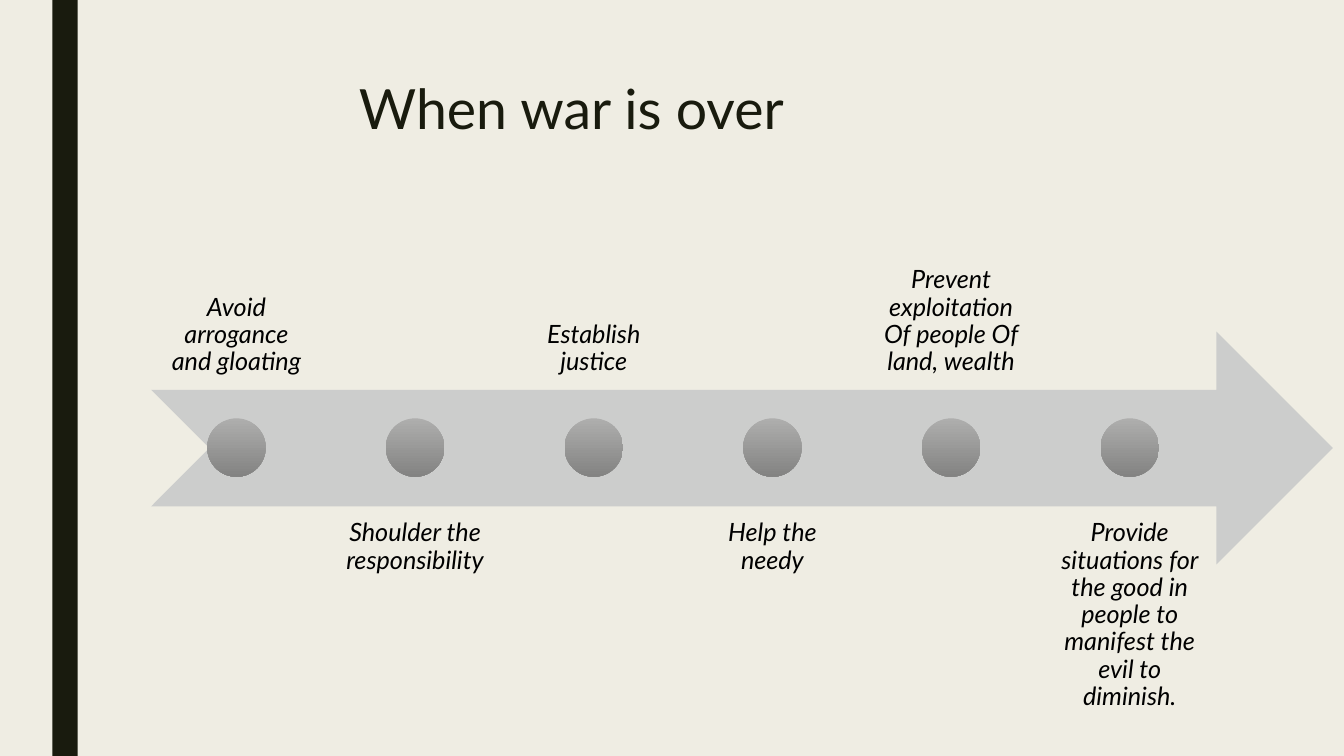
from dataclasses import dataclass

from pptx import Presentation
from pptx import util as u
from pptx.dml.color import RGBColor
from pptx.enum import shapes, text

BACKGROUND = RGBColor(0xEF, 0xED, 0xE3)
DARK = RGBColor(0x19, 0x1B, 0x0E)
ARROW = RGBColor(0xCC, 0xCD, 0xCC)
DOT_TOP = RGBColor(0xAE, 0xAE, 0xAD)
DOT_BOTTOM = RGBColor(0x83, 0x83, 0x82)
BLACK = RGBColor(0, 0, 0)

STEP_LEFT, STEP_PITCH = 1.5, 1.772
STEP_WIDTH, STEP_HEIGHT = 1.69, 2.31
TOP_ROW, BOTTOM_ROW = 1.56, 5.02
DOT_SIZE, DOT_TOP_EDGE = 0.58, 4.15


@dataclass(frozen=True)
class Box:
    left: float
    top: float
    width: float
    height: float

    def lengths(self) -> list[u.Length]:
        return [u.Inches(v) for v in (self.left, self.top, self.width, self.height)]


@dataclass(frozen=True)
class Step:
    label: str
    above: bool


LABELS = (
    "Avoid arrogance and gloating",
    "Shoulder the responsibility",
    "Establish justice",
    "Help the needy",
    "Prevent exploitation Of people Of land, wealth",
    "Provide situations for the good in people to manifest the evil to diminish.",
)
STEPS = [Step(label, i % 2 == 0) for i, label in enumerate(LABELS)]


def add_shape(s, kind: shapes.MSO_SHAPE, box: Box, color: RGBColor | None = None):
    sp = s.shapes.add_shape(kind, *box.lengths())
    sp.shadow.inherit = False
    sp.line.fill.background()
    if color is not None:
        sp.fill.solid()
        sp.fill.fore_color.rgb = color
    return sp


def add_text(s, content: str, box: Box, frame: dict, paragraph: dict, font: dict,
             color: RGBColor) -> None:
    tf = s.shapes.add_textbox(*box.lengths()).text_frame
    p = tf.paragraphs[0]
    r = p.add_run()
    r.text = content
    r.font.color.rgb = color
    for target, values in ((tf, frame), (p, paragraph), (r.font, font)):
        for name, value in values.items():
            setattr(target, name, value)


def add_step(s, index: int, step: Step) -> None:
    left = STEP_LEFT + index * STEP_PITCH
    inset = u.Inches(0.14)
    frame = {
        "word_wrap": True,
        "vertical_anchor": text.MSO_ANCHOR.BOTTOM if step.above else text.MSO_ANCHOR.TOP,
        "margin_left": inset, "margin_right": inset,
        "margin_top": inset, "margin_bottom": inset,
    }
    add_text(s, step.label,
             Box(left, TOP_ROW if step.above else BOTTOM_ROW, STEP_WIDTH, STEP_HEIGHT),
             frame, {"alignment": text.PP_ALIGN.CENTER, "line_spacing": 0.9},
             {"name": "Lato", "size": u.Pt(18), "italic": True}, BLACK)

    # Dot centred on the label, shaded from light to dark downwards
    dot = add_shape(s, shapes.MSO_SHAPE.OVAL,
                    Box(left + (STEP_WIDTH - DOT_SIZE) / 2, DOT_TOP_EDGE, DOT_SIZE, DOT_SIZE))
    dot.fill.gradient()
    dot.fill.gradient_angle = 270
    for stop, color in zip(dot.fill.gradient_stops, (DOT_TOP, DOT_BOTTOM)):
        stop.color.rgb = color


def main() -> None:
    prs = Presentation()
    prs.slide_width, prs.slide_height = u.Inches(13.33), u.Inches(7.5)
    s = prs.slides.add_slide(prs.slide_layouts[6])

    # Background and side bar
    s.background.fill.solid()
    s.background.fill.fore_color.rgb = BACKGROUND
    add_shape(s, shapes.MSO_SHAPE.RECTANGLE, Box(0.52, 0, 0.25, 7.5), DARK)

    # Title
    add_text(s, "When war is over", Box(1.5, 0.75, 10.5, 0.72),
             {"word_wrap": True, "margin_left": u.Inches(2.06),
              "vertical_anchor": text.MSO_ANCHOR.MIDDLE},
             {"line_spacing": 0.89}, {"name": "Lato", "size": u.Pt(39.6)}, DARK)

    # Timeline arrow and its steps
    add_shape(s, shapes.MSO_SHAPE.NOTCHED_RIGHT_ARROW, Box(1.5, 3.29, 11.72, 2.31), ARROW)
    for index, step in enumerate(STEPS):
        add_step(s, index, step)

    prs.save("out.pptx")


if __name__ == "__main__":
    main()
